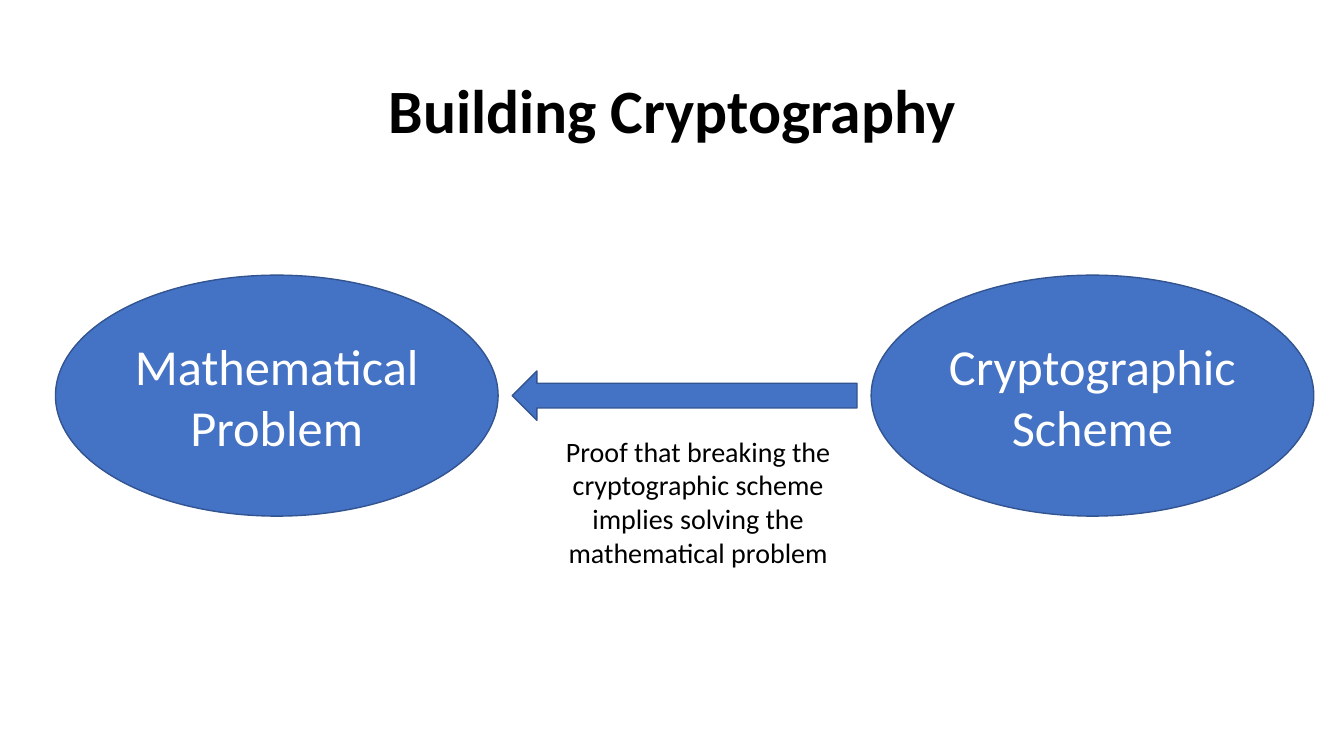
import pptx
import pptx.util
import pptx.dml.color
import pptx.enum.shapes
import pptx.enum.text

Inches = pptx.util.Inches
Kind = pptx.enum.shapes.MSO_SHAPE
Anchor = pptx.enum.text.MSO_ANCHOR
WIDE, HIGH = 13.33, 7.5
OVAL_W, OVAL_H = 4.39, 2.39
LEFT, RIGHT, TOP = 0.55, 8.64, 2.73
GAP = 0.14
ARROW_H = 0.49


def paint(form, color):
    form.solid()
    form.fore_color.rgb = pptx.dml.color.RGBColor.from_string(color)


def write(shape, text, size=20, color="000000", bold=False,
          anchor=Anchor.MIDDLE, space=None):
    frame = shape.text_frame
    frame.word_wrap = True
    frame.vertical_anchor = anchor
    para = frame.paragraphs[0]
    para.alignment = pptx.enum.text.PP_ALIGN.CENTER
    para.line_spacing = space
    run = para.add_run()
    run.text = text
    run.font.name = "Calibri"
    run.font.size = pptx.util.Pt(size)
    run.font.bold = bold
    paint(run.font.fill, color)


def block(slide, kind, *box):
    """Add a blue preset shape at left, top, width, height in inches."""
    shape = slide.shapes.add_shape(kind, *map(Inches, box))
    shape.shadow.inherit = False
    paint(shape.fill, "4472C4")
    paint(shape.line.fill, "325491")
    shape.line.width = pptx.util.Pt(1)
    return shape


def head(slide, text):
    title = slide.shapes.title
    title.left, title.top = Inches(0.92), Inches(0.4)
    title.width, title.height = Inches(11.5), Inches(1.45)
    write(title, text, size=44, bold=True, space=0.9)


def note(slide, text, *box):
    label = slide.shapes.add_textbox(*map(Inches, box))
    write(label, text, anchor=Anchor.TOP)
    label.text_frame.auto_size = pptx.enum.text.MSO_AUTO_SIZE.SHAPE_TO_FIT_TEXT


def main():
    deck = pptx.Presentation()
    deck.slide_width, deck.slide_height = Inches(WIDE), Inches(HIGH)
    slide = deck.slides.add_slide(deck.slide_layouts[5])
    head(slide, "Building Cryptography")
    for left, text in ((LEFT, "Mathematical Problem"),
                       (RIGHT, "Cryptographic Scheme")):
        oval = block(slide, Kind.OVAL, left, TOP, OVAL_W, OVAL_H)
        write(oval, text, size=36, color="FFFFFF")
    start = LEFT + OVAL_W + GAP
    block(slide, Kind.LEFT_ARROW, start, TOP + (OVAL_H - ARROW_H) / 2,
          RIGHT - GAP - start, ARROW_H)
    note(slide, "Proof that breaking the cryptographic scheme implies "
         "solving the mathematical problem", 5.41, 4.26, 3.03, 1.45)
    deck.save("out.pptx")


if __name__ == "__main__":
    main()
